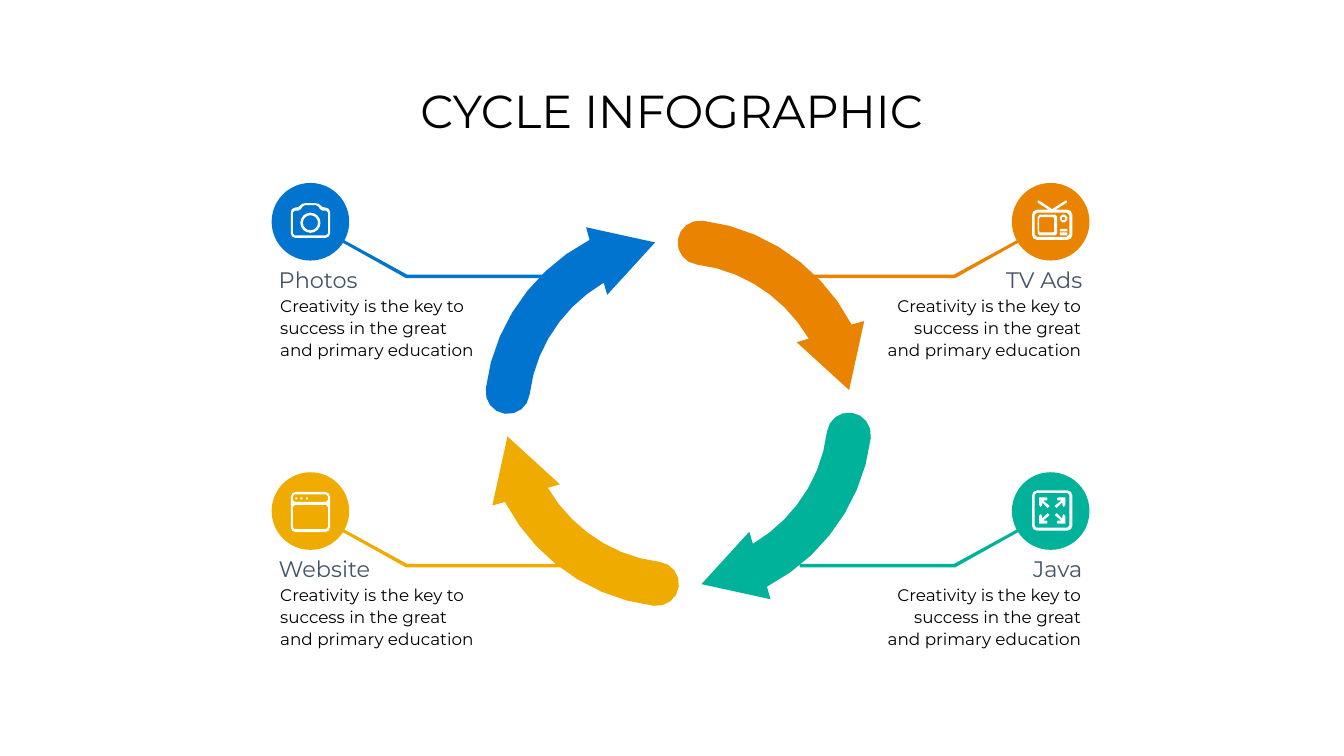
from math import dist

from pptx import Presentation
from pptx.dml.color import RGBColor
from pptx.enum.shapes import MSO_SHAPE
from pptx.enum.text import MSO_ANCHOR, MSO_AUTO_SIZE, PP_ALIGN
from pptx.util import Emu, Pt

PX = 9144  # 100 px to the inch
FONT = "Montserrat"
BLUE, ORANGE, TEAL, YELLOW = "0074CF", "E98300", "00B299", "F0AB00"
WHITE, BLACK, SLATE = "FFFFFF", "000000", "445469"
BODY = "Creativity is the key to success in the great and primary education"


def px(value):
    return Emu(round(value * PX))


def paint(shape, color):
    shape.shadow.inherit = False
    shape.fill.solid()
    shape.fill.fore_color.rgb = RGBColor.from_string(color)
    shape.line.fill.background()


def curve(start, c1, c2, end, steps):
    """Points along a cubic curve, without its start."""
    weights = [((1 - t) ** 3, 3 * t * (1 - t) ** 2, 3 * t * t * (1 - t), t ** 3)
               for t in (step / steps for step in range(1, steps + 1))]
    return [tuple(sum(w * p[axis] for w, p in zip(row, (start, c1, c2, end)))
                  for axis in (0, 1)) for row in weights]


def rounded(points, radius):
    """Closed contour through points; larger corners get more steps."""
    steps = 1 if radius < 6 else 2 if radius <= 10 else 4
    contour = []
    for i, corner in enumerate(points):
        def toward(other, share=1.0):
            length = dist(corner, other)
            part = min(radius, length / 2) * share / length
            return tuple(a + (b - a) * part for a, b in zip(corner, other))

        before, after = points[i - 1], points[(i + 1) % len(points)]
        start = toward(before)
        if not contour or dist(contour[-1], start) > 0.1:
            contour.append(start)
        contour += curve(start, toward(before, 0.45),
                         toward(after, 0.45), toward(after), steps)
    return contour


def panel(x, y, width, height, radius=0):
    corners = [(x, y), (x + width, y), (x + width, y + height), (x, y + height)]
    return rounded(corners, radius) if radius else corners


def add_outline(page, left, top, contours, color):
    builder = None
    for contour in contours:
        points = [(px(left + x), px(top + y)) for x, y in contour]
        if builder is None:
            builder = page.shapes.build_freeform(*points[0])
        else:
            builder.move_to(*points[0])
        builder.add_line_segments(points[1:], close=True)
    paint(builder.convert_to_shape(), color)


# Icons: contours in which an inner one cuts a hole in the one around it
def camera_icon():
    body = [(0, 9), (17, 9), (21, 0), (57, 0), (61, 9), (78, 9), (78, 69), (0, 69)]
    hole = [(4, 15), (19, 15), (24, 4), (54, 4), (59, 15), (74, 15), (74, 64), (4, 64)]
    return [rounded(body, 9), rounded(hole, 4),
            panel(19, 19, 40, 40, 20), panel(24, 24, 30, 30, 15)]


def television_icon():
    antenna = [(33, 20), (11, 6), (11, 2), (14, 2), (40, 19),
               (66, 2), (69, 2), (69, 6), (47, 20)]
    return [antenna, panel(0, 20, 80, 60, 10), panel(5, 26, 69, 48, 5),
            panel(11, 30, 39, 41, 4), panel(14, 35, 30, 30, 2),
            panel(55, 30, 15, 15, 5), panel(59, 35, 6, 6),
            panel(55, 58, 15, 5), panel(55, 65, 15, 6)]


def browser_icon():
    dots = [panel(x, 11, 4, 4) for x in (9, 19, 30)]
    return [panel(0, 0, 78, 80, 10), panel(4, 5, 70, 15, 4),
            panel(4, 26, 70, 48, 4)] + dots


def expand_icon():
    arrow = [(29, 20), (31, 17), (29, 14), (14, 14), (14, 29), (17, 33),
             (20, 29), (20, 24), (31, 35), (35, 31), (22, 20)]
    arrows = [[(40 + h * (x - 40), 40 + v * (y - 40)) for x, y in arrow]
              for h in (1, -1) for v in (1, -1)]
    return [panel(0, 0, 80, 80, 10), panel(5, 5, 69, 69, 4)] + arrows


def add_cycle(page, center_x, center_y, colors):
    """Ring of four arrows, each a quarter turn on from the one before."""
    arrow = [(344, -176)]
    for c1, c2, end, steps in (((286, -288), (174, -367), (49, -382), 7),
                               ((24, -385), (2, -368), (-1, -344), 4),
                               ((-4, -320), (13, -298), (37, -295), 4),
                               ((130, -284), (212, -228), (259, -148), 7)):
        arrow += curve(arrow[-1], c1, c2, end, steps)
    arrow += [(235, -141), (339, -46), (369, -183)]
    for color in colors:
        add_outline(page, center_x, center_y, [arrow], color)
        arrow = [(-y, x) for x, y in arrow]


def format_para(para, text, size, color, align, spacing=None):
    para.alignment = align
    if spacing:
        para.line_spacing = spacing
    span = para.add_run()
    span.text = text
    span.font.name = FONT
    span.font.size = Pt(size)
    span.font.color.rgb = RGBColor.from_string(color)


def add_text(page, left, top, width, height, inset, wrap, *content):
    box = page.shapes.add_textbox(px(left), px(top), px(width), px(height))
    frame = box.text_frame
    frame.word_wrap = wrap
    frame.auto_size = MSO_AUTO_SIZE.SHAPE_TO_FIT_TEXT
    frame.margin_left = frame.margin_right = px(inset)
    frame.margin_top = frame.margin_bottom = px(inset / 2)
    format_para(frame.paragraphs[0], *content)


def add_callout(page, left, top, mirrored, color, heading, heading_width, icon, icon_at):
    width = 452
    align = PP_ALIGN.RIGHT if mirrored else PP_ALIGN.LEFT

    def place(x, part_width=0):
        return left + (width - x - part_width if mirrored else x)

    # Disc and its lead to the cycle
    disc_left = place(7, 154)
    disc = page.shapes.add_shape(MSO_SHAPE.OVAL, px(disc_left), px(top), px(154), px(154))
    paint(disc, color)
    lead = [(582, 189), (274, 189), (147, 118), (150, 113), (276, 182), (582, 182)]
    add_outline(page, 0, top, [[(place(x), y) for x, y in lead]], color)

    # Heading and body
    add_text(page, place(1, heading_width), top + 155, heading_width, 74, 20, False,
             heading, 32, SLATE, align)
    add_text(page, left, top + 207, width, 157, 24, True, BODY, 24, BLACK, align, 1.1)

    # Icon
    add_outline(page, disc_left + icon_at[0], top + icon_at[1], icon, WHITE)


def add_title(page, left, top, width, height, text):
    title = page.shapes.title
    title.left, title.top, title.width, title.height = map(px, (left, top, width, height))
    title.text_frame.vertical_anchor = MSO_ANCHOR.MIDDLE
    format_para(title.text_frame.paragraphs[0], text, 66, BLACK, PP_ALIGN.CENTER, 0.9)


def main():
    deck = Presentation()
    deck.slide_width, deck.slide_height = px(2667), px(1500)
    page = deck.slides.add_slide(deck.slide_layouts[5])

    add_title(page, 183, 80, 2300, 290, "CYCLE INFOGRAPHIC")
    add_cycle(page, 1346, 820, (ORANGE, TEAL, YELLOW, BLUE))

    left, right, upper, lower = 532, 1717, 363, 937
    add_callout(page, right, lower, True, TEAL, "Java", 145, expand_icon(), (40, 36))
    add_callout(page, left, lower, False, YELLOW, "Website", 228, browser_icon(), (38, 39))
    add_callout(page, right, upper, True, ORANGE, "TV Ads", 197, television_icon(), (40, 33))
    add_callout(page, left, upper, False, BLUE, "Photos", 201, camera_icon(), (38, 40))

    deck.save("out.pptx")


if __name__ == "__main__":
    main()
